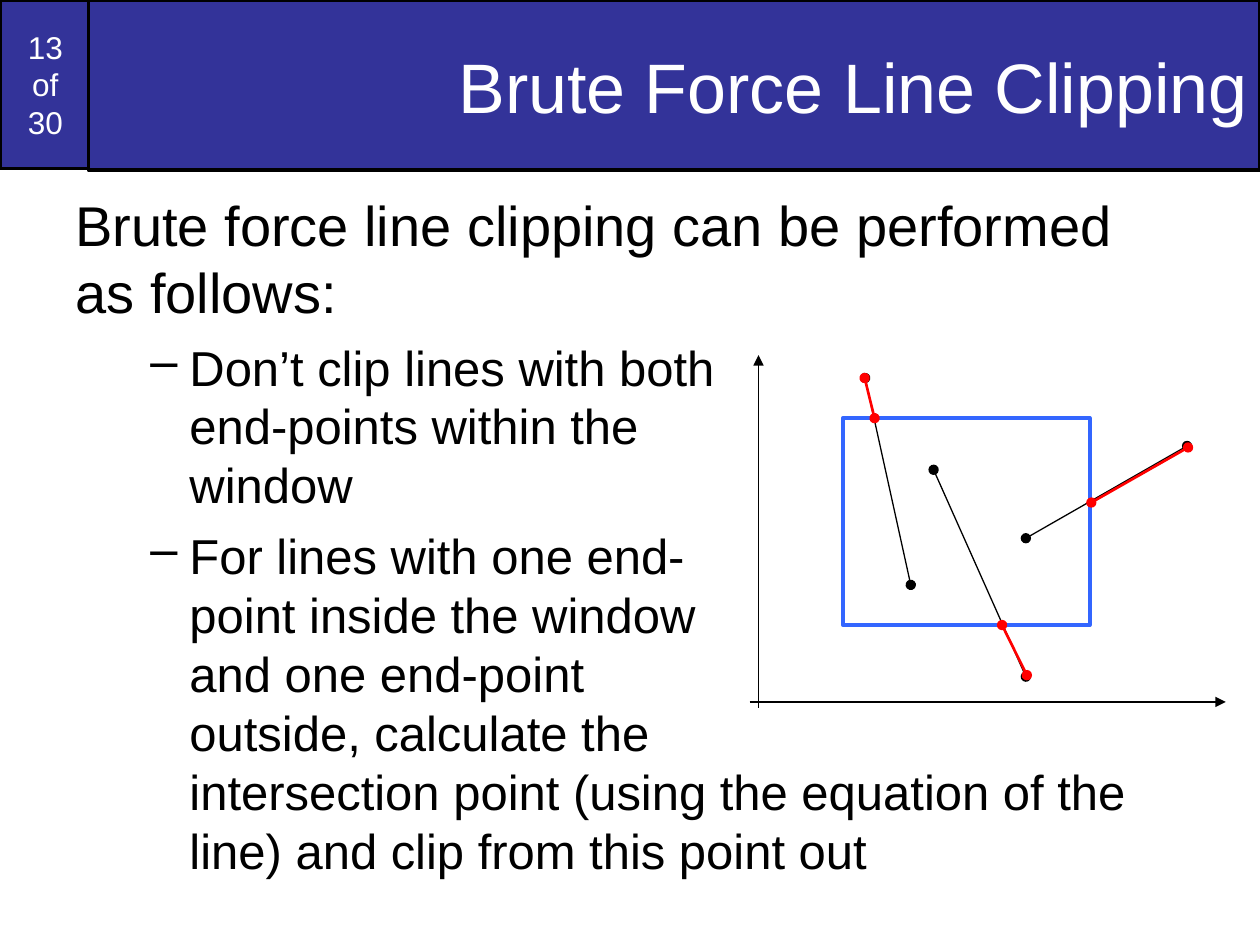
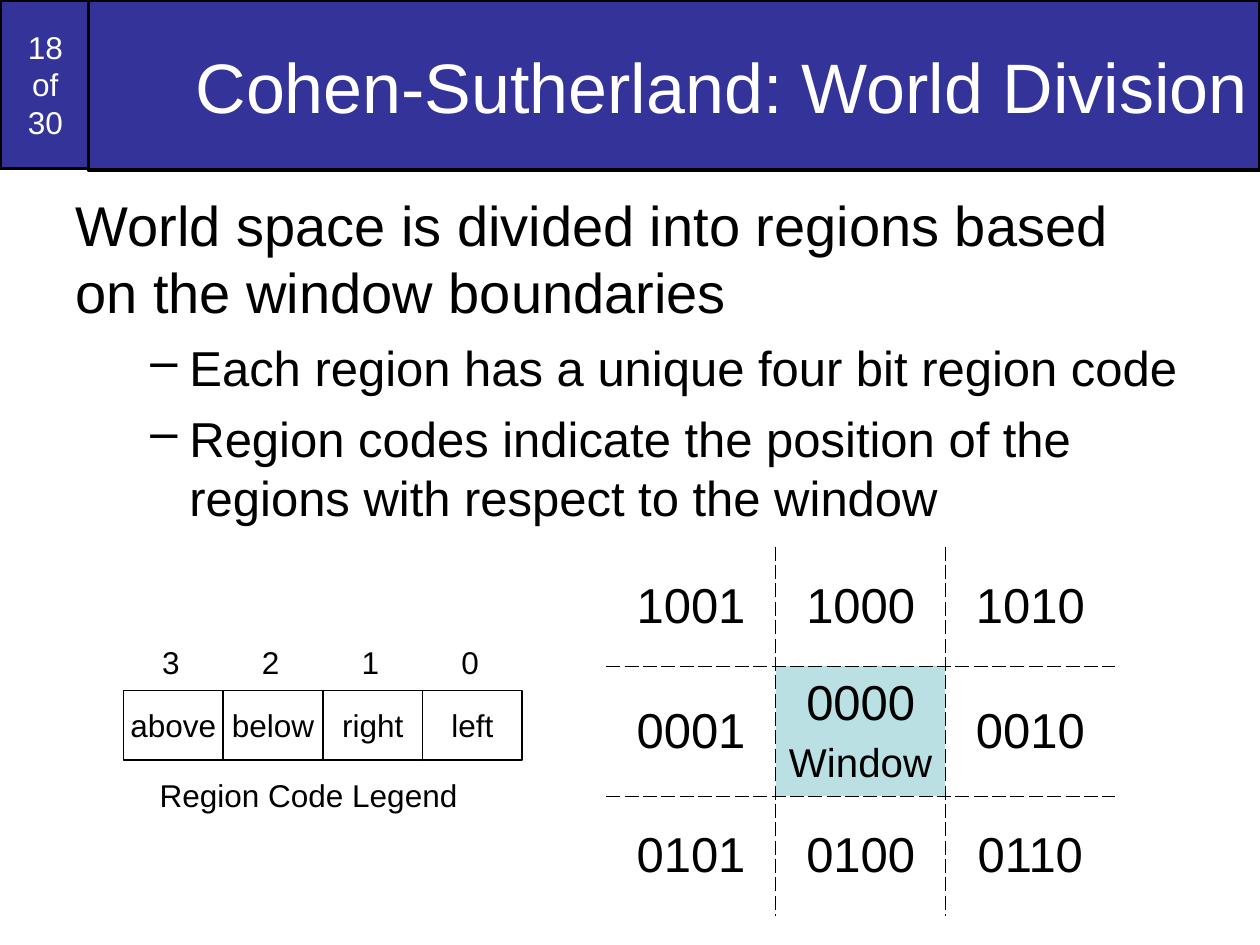
from dataclasses import dataclass

from lxml import etree
from pptx import Presentation
from pptx.dml.color import RGBColor
from pptx.enum.shapes import MSO_CONNECTOR, MSO_SHAPE
from pptx.enum.text import MSO_ANCHOR, MSO_AUTO_SIZE, PP_ALIGN
from pptx.oxml.ns import qn
from pptx.util import Cm, Pt

RECTANGLE = MSO_SHAPE.RECTANGLE
STRAIGHT = MSO_CONNECTOR.STRAIGHT
TOP, MIDDLE = MSO_ANCHOR.TOP, MSO_ANCHOR.MIDDLE
LEFT, CENTER, RIGHT = PP_ALIGN.LEFT, PP_ALIGN.CENTER, PP_ALIGN.RIGHT
NO_FIT = MSO_AUTO_SIZE.NONE
TITLE_ONLY = 5
PAGE_COUNT = 30


@dataclass(frozen=True)
class Theme:
    font: str = "Arial"
    band: str = "333399"
    white: str = "FFFFFF"
    ink: str = "000000"
    window: str = "3366FF"
    clipped: str = "FF0000"
    region: str = "BBE0E3"
    title: float = 40
    lead: float = 32
    bullet: float = 28
    window_label: float = 23
    small: float = 18


def color(value):
    return RGBColor.from_string(value)


class Deck:
    def __init__(self, theme):
        self.theme = theme
        self.presentation = Presentation()
        self.presentation.slide_width = Cm(25.4)
        self.presentation.slide_height = Cm(19.05)
        self.page = None

    def add_page(self, number, title):
        theme = self.theme
        layout = self.presentation.slide_layouts[TITLE_ONLY]
        self.page = self.presentation.slides.add_slide(layout)
        self.box(0, 0, 1.83, 3.4, f"{number}\nof\n{PAGE_COUNT}",
                 fill=theme.band, line_width=2, text_color=theme.white,
                 wrap=True, before=11.2)
        heading = self.page.shapes.title
        tree = self.page.shapes._spTree
        tree.remove(heading._element)
        tree.append(heading._element)
        self.place(heading, 1.78, 0, 23.62, 3.43)
        self.paint(heading, theme.band, theme.ink, 2)
        self.frame(heading.text_frame, MIDDLE, True)
        self.add_text(heading.text_frame.paragraphs[0], title, theme.title,
                      theme.white, RIGHT)

    def place(self, shape, left, top, width, height):
        shape.left, shape.top = Cm(left), Cm(top)
        shape.width, shape.height = Cm(width), Cm(height)

    def paint(self, shape, fill, line, line_width):
        if fill:
            shape.fill.solid()
            shape.fill.fore_color.rgb = color(fill)
        else:
            shape.fill.background()
        shape.line.color.rgb = color(line)
        shape.line.width = Pt(line_width)

    def frame(self, frame, anchor, wrap):
        frame.auto_size = NO_FIT
        frame.word_wrap = wrap
        frame.vertical_anchor = anchor
        frame.margin_left = frame.margin_right = Cm(0.25)
        frame.margin_top = frame.margin_bottom = Cm(0.13)

    def add_text(self, para, text, size, text_color=None, align=LEFT,
                 before=0):
        para.alignment = align
        para.space_before = Pt(before)
        for index, line in enumerate(text.split("\n")):
            if index:
                para.add_line_break()
            span = para.add_run()
            span.text = line
            span.font.name = self.theme.font
            span.font.size = Pt(size)
            span.font.color.rgb = color(text_color or self.theme.ink)

    def box(self, left, top, width, height, text="", fill=None, line=None,
            line_width=1, text_color=None, wrap=False, before=0):
        shape = self.page.shapes.add_shape(
            RECTANGLE, Cm(left), Cm(top), Cm(width), Cm(height))
        shape.shadow.inherit = False
        self.paint(shape, fill, line or self.theme.ink, line_width)
        self.frame(shape.text_frame, MIDDLE, wrap)
        if text:
            self.add_text(shape.text_frame.paragraphs[0], text,
                          self.theme.small, text_color, CENTER, before)

    def label(self, left, top, width, text):
        shape = self.page.shapes.add_textbox(
            Cm(left), Cm(top), Cm(width), Cm(1.02))
        self.frame(shape.text_frame, TOP, False)
        self.add_text(shape.text_frame.paragraphs[0], text, self.theme.small)

    def body(self, lead, bullets):
        shape = self.page.shapes.add_textbox(
            Cm(1.27), Cm(3.71), Cm(22.9), Cm(15.34))
        frame = shape.text_frame
        self.frame(frame, TOP, True)
        self.add_text(frame.paragraphs[0], lead, self.theme.lead, before=8)
        for text in bullets:
            para = frame.add_paragraph()
            para.level = 1
            self.add_text(para, text, self.theme.bullet, before=7)
            properties = para._p.get_or_add_pPr()
            properties.set("marL", str(Cm(2.3)))
            properties.set("indent", str(Cm(-0.79)))
            etree.SubElement(properties, qn("a:buChar"), char="–")

    def line(self, start, end, line_color, width, head=None, tail=None):
        connector = self.page.shapes.add_connector(
            STRAIGHT, *(Cm(value) for value in (*start, *end)))
        connector.line.color.rgb = color(line_color)
        connector.line.width = Pt(width)
        outline = connector.line._get_or_add_ln()
        for tag, kind in (("a:headEnd", head), ("a:tailEnd", tail)):
            if kind:
                etree.SubElement(outline, qn(tag), type=kind)
        etree.SubElement(connector._element.spPr, qn("a:effectLst"))

    def border(self, cell, side, visible):
        edge = etree.SubElement(cell._tc.get_or_add_tcPr(), qn(f"a:ln{side}"),
                                w=str(Pt(0.45)))
        if visible:
            fill = etree.SubElement(edge, qn("a:solidFill"))
            etree.SubElement(fill, qn("a:srgbClr"), val=self.theme.ink)
            etree.SubElement(edge, qn("a:prstDash"), val="dash")
        else:
            etree.SubElement(edge, qn("a:noFill"))

    def region_grid(self, left, top, column_width, row_heights, codes):
        theme = self.theme
        rows, columns = len(codes), len(codes[0])
        table = self.page.shapes.add_table(
            rows, columns, Cm(left), Cm(top), Cm(column_width * columns),
            Cm(sum(row_heights))).table
        table.first_row = table.horz_banding = False
        for column in table.columns:
            column.width = Cm(column_width)
        for row, height in enumerate(row_heights):
            table.rows[row].height = Cm(height)
            for column, code in enumerate(codes[row]):
                cell = table.cell(row, column)
                cell.vertical_anchor = MIDDLE
                inner = {"L": column > 0, "R": column < columns - 1,
                         "T": row > 0, "B": row < rows - 1}
                for side, visible in inner.items():
                    self.border(cell, side, visible)
                frame = cell.text_frame
                self.add_text(frame.paragraphs[0], code, theme.bullet,
                              align=CENTER, before=7)
                if all(inner.values()):
                    cell.fill.solid()
                    cell.fill.fore_color.rgb = color(theme.region)
                    self.add_text(frame.add_paragraph(), "Window",
                                  theme.window_label, align=CENTER, before=5.8)
                else:
                    cell.fill.background()


def brute_force_page(deck):
    theme = deck.theme
    deck.add_page(13, "Brute Force Line Clipping")
    deck.body("Brute force line clipping can be performed as follows:", [
        "Don’t clip lines with both\nend-points within the\nwindow",
        "For lines with one end-\npoint inside the window\nand one end-point\n"
        "outside, calculate the\nintersection point (using the equation of "
        "the line) and clip from this point out",
    ])
    axes = [((15.11, 14.15), (24.71, 14.15)), ((15.29, 14.27), (15.29, 7.16))]
    for start, end in axes:
        deck.line(start, end, theme.ink, 0.75, tail="triangle")
    deck.box(16.99, 8.43, 4.98, 4.17, line=theme.window, line_width=2.25)
    segments = [
        ((20.68, 10.85), (23.93, 8.99)),
        ((18.82, 9.47), (20.68, 13.64)),
        ((17.44, 7.62), (18.36, 11.79)),
    ]
    clipped_parts = [
        ((22, 10.13), (23.95, 9.02)),
        ((17.63, 8.43), (17.43, 7.62)),
        ((20.2, 12.6), (20.7, 13.61)),
    ]
    for lines, line_color, width in ((segments, theme.ink, 0.75),
                                     (clipped_parts, theme.clipped, 1.5)):
        for start, end in lines:
            deck.line(start, end, line_color, width, "oval", "oval")


def world_division_page(deck):
    deck.add_page(18, "Cohen-Sutherland: World Division")
    deck.body(
        "World space is divided into regions based on the window boundaries", [
            "Each region has a unique four bit region code",
            "Region codes indicate the position of the regions with respect "
            "to the window",
        ])
    deck.region_grid(12.22, 11.02, 3.42, (2.41, 2.62, 2.41), [
        ("1001", "1000", "1010"),
        ("0001", "0000", "0010"),
        ("0101", "0100", "0110"),
    ])
    bits = ("above", "below", "right", "left")
    bit_width = 2.01
    for index, name in enumerate(bits):
        offset = index * bit_width
        deck.box(2.49 + offset, 13.92, bit_width, 1.4, name)
        deck.label(3.02 + offset, 12.83, 0.86, str(len(bits) - 1 - index))
    deck.label(2.97, 15.52, 6.5, "Region Code Legend")


def main():
    deck = Deck(Theme())
    brute_force_page(deck)
    world_division_page(deck)
    deck.presentation.save("out.pptx")


if __name__ == "__main__":
    main()
